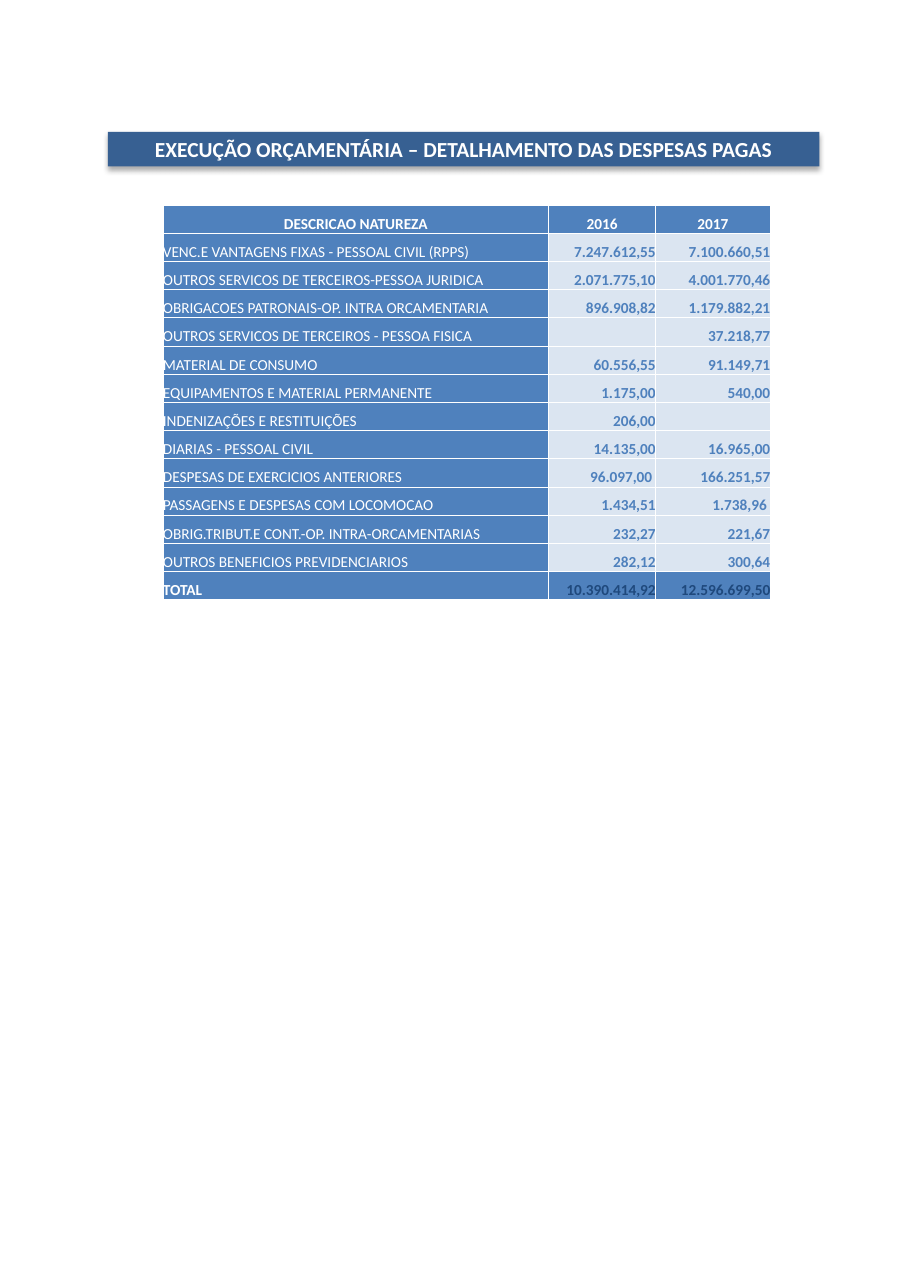
from lxml import etree
from pptx import Presentation
from pptx.dml.color import RGBColor
from pptx.enum import shapes, text
from pptx.oxml import ns
from pptx.util import Pt

# Content
TITLE = "EXECUÇÃO ORÇAMENTÁRIA – DETALHAMENTO DAS DESPESAS PAGAS"
HEADER = ("DESCRICAO NATUREZA", "2016", "2017")
EXPENSES = [
    ("VENC.E VANTAGENS FIXAS - PESSOAL CIVIL (RPPS)", "7.247.612,55", "7.100.660,51"),
    ("OUTROS SERVICOS DE TERCEIROS-PESSOA JURIDICA", "2.071.775,10", "4.001.770,46"),
    ("OBRIGACOES PATRONAIS-OP. INTRA ORCAMENTARIA", "896.908,82", "1.179.882,21"),
    ("OUTROS SERVICOS DE TERCEIROS - PESSOA FISICA", "", "37.218,77"),
    ("MATERIAL DE CONSUMO", "60.556,55", "91.149,71"),
    ("EQUIPAMENTOS E MATERIAL PERMANENTE", "1.175,00", "540,00"),
    ("INDENIZAÇÕES E RESTITUIÇÕES", "206,00", ""),
    ("DIARIAS - PESSOAL CIVIL", "14.135,00", "16.965,00"),
    ("DESPESAS DE EXERCICIOS ANTERIORES", "96.097,00 ", "166.251,57"),
    ("PASSAGENS E DESPESAS COM LOCOMOCAO", "1.434,51", "1.738,96 "),
    ("OBRIG.TRIBUT.E CONT.-OP. INTRA-ORCAMENTARIAS", "232,27", "221,67"),
    ("OUTROS BENEFICIOS PREVIDENCIARIOS", "282,12", "300,64"),
]
TOTAL = ("TOTAL", "10.390.414,92", "12.596.699,50")

# Style
WHITE = RGBColor(0xFF, 0xFF, 0xFF)
BANNER_BLUE = RGBColor(0x37, 0x60, 0x92)
BLUE = RGBColor(0x4F, 0x81, 0xBD)
PALE_BLUE = RGBColor(0xDB, 0xE5, 0xF1)
NAVY = RGBColor(0x1F, 0x49, 0x7D)
LEFT, CENTER, RIGHT = text.PP_ALIGN.LEFT, text.PP_ALIGN.CENTER, text.PP_ALIGN.RIGHT

# Geometry in points
COLUMN_WIDTHS = (252, 70, 74.9)
ROW_HEIGHT = 18.45
TABLE_LEFT, TABLE_TOP = 106.5, 133.9


def write(frame, words, size=10, color=WHITE, bold=False, align=LEFT):
    paragraph = frame.paragraphs[0]
    paragraph.alignment = align
    if not words:  # keeps an empty cell from growing its row
        paragraph._p.get_or_add_endParaRPr().set("sz", str(size * 100))
        return
    run = paragraph.add_run()
    run.text = words
    font = run.font
    font.name, font.size, font.bold = "Calibri", Pt(size), bold
    font.color.rgb = color


def add_shadow(shape, color, opacity, blur, distance):
    shape.shadow.inherit = False
    effects = shape._element.spPr.find(ns.qn("a:effectLst"))
    shadow = etree.SubElement(
        effects, ns.qn("a:outerShdw"), blurRad=str(Pt(blur)),
        dist=str(Pt(distance)), dir="5400000", rotWithShape="0")
    tint = etree.SubElement(shadow, ns.qn("a:srgbClr"), val=str(color))
    etree.SubElement(tint, ns.qn("a:alpha"), val=str(opacity * 1000))


def add_borders(cell, color, width):
    properties = cell._tc.get_or_add_tcPr()
    for position, side in enumerate(("lnL", "lnR", "lnT", "lnB")):
        line = etree.Element(ns.qn("a:" + side), w=str(Pt(width)))
        fill = etree.SubElement(line, ns.qn("a:solidFill"))
        etree.SubElement(fill, ns.qn("a:srgbClr"), val=str(color))
        properties.insert(position, line)


def cell_style(row, column, last_row):
    """Return the cell fill and its text format."""
    if row == 0:
        return BLUE, dict(bold=True, align=CENTER)
    if column == 0:
        return BLUE, dict(bold=row == last_row)
    if row == last_row:
        return BLUE, dict(color=NAVY, bold=True, align=RIGHT)
    return PALE_BLUE, dict(color=BLUE, bold=True, align=RIGHT)


prs = Presentation()
prs.slide_width, prs.slide_height = Pt(595.44), Pt(841.68)
slide = prs.slides.add_slide(prs.slide_layouts[6])

# Title banner
banner = slide.shapes.add_shape(
    shapes.MSO_SHAPE.RECTANGLE, Pt(70.6), Pt(86.2), Pt(465), Pt(22.6))
banner.fill.solid()
banner.fill.fore_color.rgb = BANNER_BLUE
banner.line.fill.background()
add_shadow(banner, RGBColor(0, 0, 0), opacity=32, blur=3.5, distance=2.2)
banner.text_frame.word_wrap = True
banner.text_frame.vertical_anchor = text.MSO_ANCHOR.MIDDLE
write(banner.text_frame, TITLE, size=14, bold=True, align=CENTER)

# Expense table
rows = [HEADER, *EXPENSES, TOTAL]
expenses = slide.shapes.add_table(
    len(rows), len(HEADER), Pt(TABLE_LEFT), Pt(TABLE_TOP),
    Pt(sum(COLUMN_WIDTHS)), Pt(ROW_HEIGHT * len(rows))).table
for column, width in zip(expenses.columns, COLUMN_WIDTHS):
    column.width = Pt(width)
for r, values in enumerate(rows):
    expenses.rows[r].height = Pt(ROW_HEIGHT)
    for c, value in enumerate(values):
        cell = expenses.cell(r, c)
        fill, text_format = cell_style(r, c, len(rows) - 1)
        cell.fill.solid()
        cell.fill.fore_color.rgb = fill
        cell.margin_left = cell.margin_right = cell.margin_top = cell.margin_bottom = 0
        cell.vertical_anchor = text.MSO_ANCHOR.BOTTOM
        add_borders(cell, WHITE, 0.5)
        write(cell.text_frame, value, **text_format)

prs.save("out.pptx")
